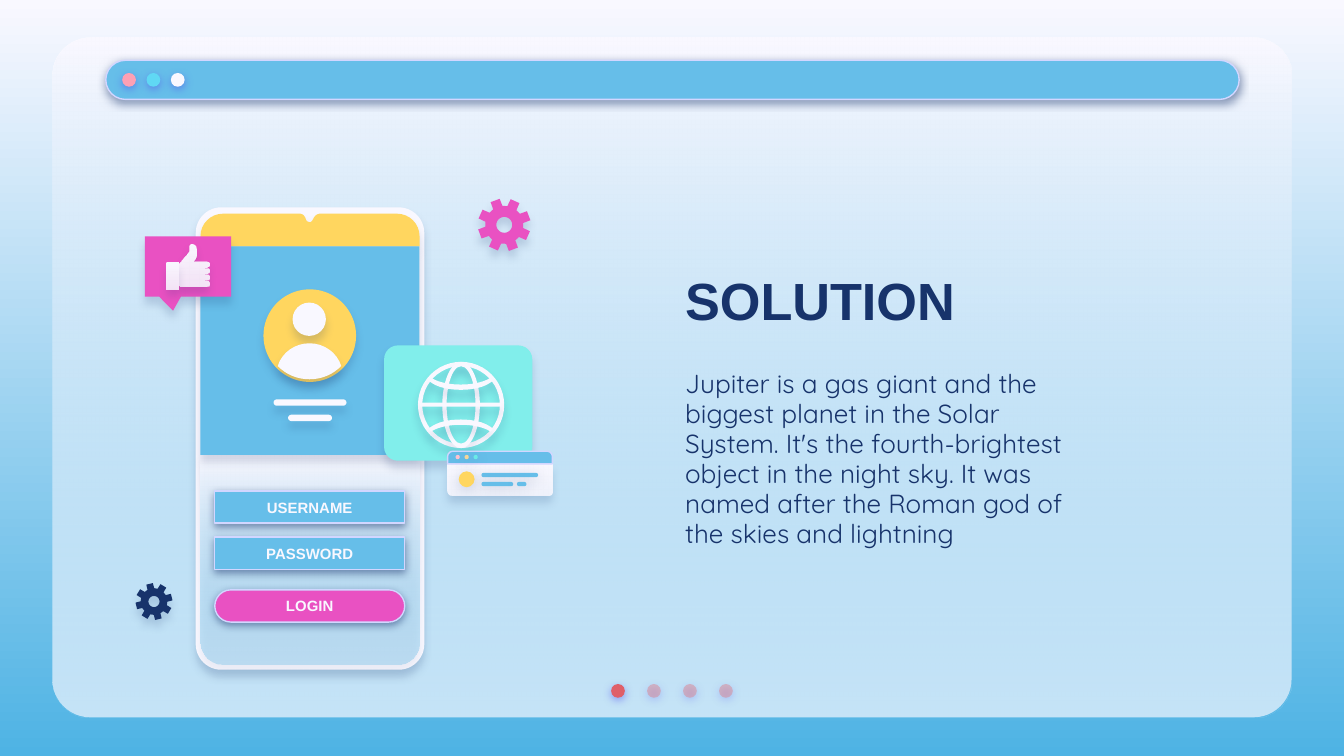
from dataclasses import dataclass
from math import cos, radians, sin

from lxml import etree
from pptx import Presentation
from pptx.dml.color import RGBColor
from pptx.enum import shapes, text
from pptx.oxml.ns import qn
from pptx.util import Cm, Pt

MSO = shapes.MSO_SHAPE


@dataclass(frozen=True)
class Theme:
    """Colours, (colour, opacity) gradients, type sizes and
    (colour, opacity, blur, distance) shadows."""
    white: str = "F9F8FF"
    sky: str = "66BEE9"
    navy: str = "17336B"
    pink: str = "E951C2"
    yellow: str = "FFD65F"
    mint: str = "81EEEB"
    edge: str = "D2D6FF"
    backdrop: tuple = (("F9F8FF", 100), ("4EB3E4", 100))
    glass: tuple = (("F9F8FF", 100), ("66BEE9", 35))
    paper: tuple = (("F9F8FF", 100), ("F9F8FF", 87))
    pager: tuple = (("DF5F69", 100),) + (("E27B83", 44),) * 3
    bar_dots: tuple = ("FDA0B4", "60D8F4", "F9F8FF")
    window_dots: tuple = ("FFC3D0", "F5D79B", "6AEBE7")
    glow: tuple = ("5352EE", 50, 4.5, 1.5)
    crisp: tuple = ("17336B", 50, 4.5, 1.5)
    soft: tuple = ("17336B", 16, 4.5, 3.8)
    faint: tuple = ("17336B", 18, 6.8, 1.5)
    heading_font: str = "Arial"
    body_font: str = "Quicksand"
    title: int = 28
    body: int = 14
    label: int = 8


T = Theme()


@dataclass(frozen=True)
class Box:
    """A rectangle in centimetres."""
    x: float
    y: float
    w: float
    h: float

    def sub(self, dx, dy, w, h):
        return Box(self.x + dx, self.y + dy, w, h)

    def emu(self):
        return [Cm(v) for v in (self.x, self.y, self.w, self.h)]


def set_alpha(clr, percent):
    etree.SubElement(clr, qn("a:alpha"), val=str(percent * 1000))


def paint_gradient(fill, stops):
    fill.gradient()
    fill.gradient_angle = 270
    for stop, (color, _) in zip(fill.gradient_stops, stops):
        stop.color.rgb = RGBColor.from_string(color)


def style(sp, fill, shadow=None, line=None):
    """Fill with a colour, a (colour, opacity) pair or a pair of such stops."""
    if isinstance(fill, str):
        fill = (fill, 100)
    if isinstance(fill[0], tuple):
        stops = fill
        paint_gradient(sp.fill, stops)
    else:
        stops = [fill]
        sp.fill.solid()
        sp.fill.fore_color.rgb = RGBColor.from_string(fill[0])
    for clr, (_, opacity) in zip(sp._element.spPr.iter(qn("a:srgbClr")), stops):
        if opacity < 100:
            set_alpha(clr, opacity)
    if line:
        sp.line.color.rgb = RGBColor.from_string(line)
        sp.line.width = Pt(0.75)
    else:
        sp.line.fill.background()
    sp.shadow.inherit = False
    if shadow:
        color, opacity, blur, dist = shadow
        effects = sp._element.spPr.find(qn("a:effectLst"))
        outer = etree.SubElement(effects, qn("a:outerShdw"), blurRad=str(Pt(blur)), dist=str(Pt(dist)),
                                 dir="5400000", algn="bl", rotWithShape="0")
        set_alpha(etree.SubElement(outer, qn("a:srgbClr"), val=color), opacity)
    return sp


def add(s, kind, box, fill, shadow=None, line=None, adj=()):
    sp = s.shapes.add_shape(kind, *box.emu())
    for i, value in enumerate(adj):
        sp.adjustments[i] = value
    return style(sp, fill, shadow, line)


def flatten(path, steps=8):
    """Turn points and six-number Bezier curves into a list of points."""
    pts = []
    for seg in path:
        if len(seg) == 6:
            (x0, y0), (x1, y1, x2, y2, x3, y3) = pts[-1], seg
            for t in (i / steps for i in range(1, steps + 1)):
                a, b, c, d = (1 - t) ** 3, 3 * t * (1 - t) ** 2, 3 * t * t * (1 - t), t ** 3
                pts.append((a * x0 + b * x1 + c * x2 + d * x3, a * y0 + b * y1 + c * y2 + d * y3))
        else:
            pts.append(seg)
    return pts


def outline(s, box, paths, fill, shadow):
    """Draw closed paths whose coordinates start at the corner of the box."""
    fb = None
    for path in paths:
        pts = [(Cm(box.x + x), Cm(box.y + y)) for x, y in flatten(path)]
        if fb is None:
            fb = s.shapes.build_freeform(*pts[0])
        else:
            fb.move_to(*pts[0])
        fb.add_line_segments(pts[1:], close=True)
    return style(fb.convert_to_shape(), fill, shadow)


def dots(s, box, step, colors, shadow):
    for i, color in enumerate(colors):
        add(s, MSO.OVAL, box.sub(i * step, 0, box.w, box.h), color, shadow)


def write(sp, words, font, size, color, bold=False, align=None):
    tf = sp.text_frame
    tf.word_wrap = True
    tf.vertical_anchor = text.MSO_ANCHOR.MIDDLE
    tf.margin_left = tf.margin_right = tf.margin_top = tf.margin_bottom = Cm(0.25)
    p = tf.paragraphs[0]
    p.text, p.alignment = words, align
    p.font.name, p.font.size, p.font.bold = font, Pt(size), bold
    p.font.color.rgb = RGBColor.from_string(color)
    return p


def panel(s, box):
    for fill in (T.white, T.glass):
        add(s, MSO.ROUNDED_RECTANGLE, box, fill, adj=[0.056])
    dots(s, box.sub(10.56, 12.22, 0.26, 0.26), 0.68, T.pager, T.glow)
    add(s, MSO.ROUNDED_RECTANGLE, box.sub(1.01, 0.43, 21.42, 0.74), T.sky, T.crisp, T.edge, [0.5])
    dots(s, box.sub(1.32, 0.67, 0.26, 0.26), 0.46, T.bar_dots, T.glow)


def message(s, box):
    title = s.shapes.add_textbox(*box.sub(0, 0, box.w, 2.01).emu())
    write(title, "SOLUTION", T.heading_font, T.title, T.navy, True)
    body = s.shapes.add_textbox(*box.sub(0, 2.08, box.w, box.h - 2.08).emu())
    p = write(body, "Jupiter is a gas giant and the biggest planet in the Solar System. It's the "
              "fourth-brightest object in the night sky. It was named after the Roman god of "
              "the skies and lightning", T.body_font, T.body, T.navy)
    p.line_spacing = 0.96


def phone(s, box):
    add(s, MSO.ROUNDED_RECTANGLE, box, T.white, T.soft, adj=[0.112])
    screen = box.sub(0.09, 0.12, 4.14, 8.53)
    add(s, MSO.ROUND_2_SAME_RECTANGLE, screen.sub(0, 4.56, screen.w, 3.97), T.glass, T.soft, adj=[0, 0.109])
    notch = [(0.43, 0), (0.19, 0, 0, 0.19, 0, 0.43), (0, 0.62), (4.14, 0.62), (4.14, 0.43),
             (4.14, 0.19, 3.95, 0, 3.71, 0), (2.27, 0), (2.2, 0, 2.16, 0.04, 2.13, 0.1),
             (2.11, 0.14, 2.09, 0.16, 2.07, 0.16), (2.03, 0.16, 2, 0.14, 1.99, 0.1),
             (1.97, 0.04, 1.93, 0, 1.87, 0)]
    outline(s, screen, [notch], T.yellow, T.soft)
    add(s, MSO.RECTANGLE, screen.sub(0, 0.62, screen.w, 3.94), T.sky, T.soft)
    add(s, MSO.OVAL, box.sub(1.28, 1.55, 1.75, 1.75), T.yellow, T.soft)
    add(s, MSO.OVAL, box.sub(1.83, 1.8, 0.63, 0.63), T.white, T.soft)
    shoulders = [(2.15, 2.57), (1.88, 2.57, 1.63, 2.74, 1.55, 3), (1.7, 3.15, 1.9, 3.25, 2.15, 3.25),
                 (2.4, 3.25, 2.6, 3.15, 2.75, 3), (2.67, 2.74, 2.42, 2.57, 2.15, 2.57)]
    outline(s, box, [shoulders], T.white, T.soft)
    for y, w in ((3.63, 1.38), (3.92, 0.83)):
        add(s, MSO.ROUNDED_RECTANGLE, box.sub((box.w - w) / 2, y, w, 0.12), T.white, T.soft, adj=[0.5])
    for label, y, fill, corner in (("USERNAME", 5.36, T.sky, 0), ("PASSWORD", 6.23, T.sky, 0),
                                   ("LOGIN", 7.23, T.pink, 0.5)):
        sp = add(s, MSO.ROUNDED_RECTANGLE, box.sub(0.36, y, 3.59, 0.61), fill, T.crisp, T.edge, [corner])
        write(sp, label, T.heading_font, T.label, T.white, True, text.PP_ALIGN.CENTER)


def like_bubble(s, box):
    add(s, MSO.ROUNDED_RECTANGULAR_CALLOUT, box, T.pink, T.soft, adj=[-0.174, 0.731, 0])
    thumb = [(0.89, 0.15), (0.86, 0.15, 0.84, 0.18, 0.84, 0.2), (0.84, 0.28), (0.66, 0.51),
             (0.66, 0.91), (0.69, 0.94), (1.12, 0.94)]
    for i in range(4):
        low, high = 0.94 - 0.12 * i, 0.82 - 0.12 * i
        thumb.append((1.25, low, 1.25, high, 1.12, high))
    thumb += [(0.92, 0.46), (0.97, 0.41, 0.98, 0.33, 0.97, 0.25), (0.97, 0.19, 0.94, 0.15, 0.89, 0.15)]
    outline(s, box, [thumb], T.paper, T.soft)
    add(s, MSO.ROUNDED_RECTANGLE, box.sub(0.41, 0.5, 0.22, 0.5), T.paper, T.soft, adj=[0.08])


def globe_card(s, box):
    add(s, MSO.ROUNDED_RECTANGLE, box, T.mint, T.soft, adj=[0.12])
    add(s, MSO.DONUT, box.sub(0.64, 0.31, 1.63, 1.63), T.white, T.soft, adj=[0.05])
    add(s, MSO.DONUT, box.sub(1.1, 0.31, 0.71, 1.63), T.white, T.soft, adj=[0.115])
    add(s, MSO.RECTANGLE, box.sub(0.68, 1.08, 1.54, 0.08), T.white, T.soft)
    north = [(0.89, 0.61), (0.84, 0.66), (0.84, 0.66, 0.99, 0.84, 1.45, 0.84),
             (1.91, 0.84, 2.06, 0.66, 2.06, 0.66), (2.01, 0.61),
             (2.01, 0.61, 1.85, 0.74, 1.45, 0.74), (1.05, 0.74, 0.89, 0.61, 0.89, 0.61)]
    south = [tuple(2.24 - v if i % 2 else v for i, v in enumerate(seg)) for seg in north]
    for parallel in (north, south):
        outline(s, box, [parallel], T.white, T.soft)


def mini_window(s, box):
    add(s, MSO.ROUND_2_SAME_RECTANGLE, box.sub(0, 0.24, box.w, box.h - 0.24), T.paper, T.soft, adj=[0, 0.17])
    add(s, MSO.ROUND_2_SAME_RECTANGLE, box.sub(0, 0, box.w, 0.24), T.sky, line=T.edge, adj=[0.4, 0])
    dots(s, box.sub(0.15, 0.07, 0.08, 0.08), 0.17, T.window_dots, T.faint)
    add(s, MSO.OVAL, box.sub(0.21, 0.38, 0.3, 0.3), T.yellow, T.faint)
    for x, y, w in ((0.64, 0.41, 1.07), (0.64, 0.58, 0.6), (1.31, 0.58, 0.18)):
        add(s, MSO.ROUNDED_RECTANGLE, box.sub(x, y, w, 0.08), T.sky, T.faint, adj=[0.5])


def gear(s, box, turn, fill):
    """Draw eight teeth around a round hole, turned by some degrees."""
    r = box.w / 2

    def polar(radius, angle):
        return r + radius * cos(radians(angle)), r + radius * sin(radians(angle))

    profile = ((0.72, -15), (1, -10.5), (1, 10.5), (0.72, 15))
    rim = [polar(r * k, turn + 45 * i + a) for i in range(8) for k, a in profile]
    hole = [polar(r * 0.3, -a) for a in range(0, 360, 10)]
    outline(s, box, [rim, hole], fill, T.soft)


def main():
    prs = Presentation()
    prs.slide_width, prs.slide_height = Cm(25.4), Cm(14.29)
    s = prs.slides.add_slide(prs.slide_layouts[6])
    paint_gradient(s.background.fill, T.backdrop)
    panel(s, Box(0.99, 0.71, 23.42, 12.85))
    message(s, Box(12.7, 4.65, 7.8, 5.99))
    phone(s, Box(3.7, 3.92, 4.32, 8.74))
    like_bubble(s, Box(2.74, 4.47, 1.63, 1.14))
    globe_card(s, Box(7.26, 6.53, 2.8, 2.18))
    mini_window(s, Box(8.46, 8.53, 1.98, 0.84))
    gear(s, Box(9.03, 3.75, 1, 1), 24.5, T.pink)
    gear(s, Box(2.56, 11.02, 0.7, 0.7), 31, T.navy)
    prs.save("out.pptx")


if __name__ == "__main__":
    main()
